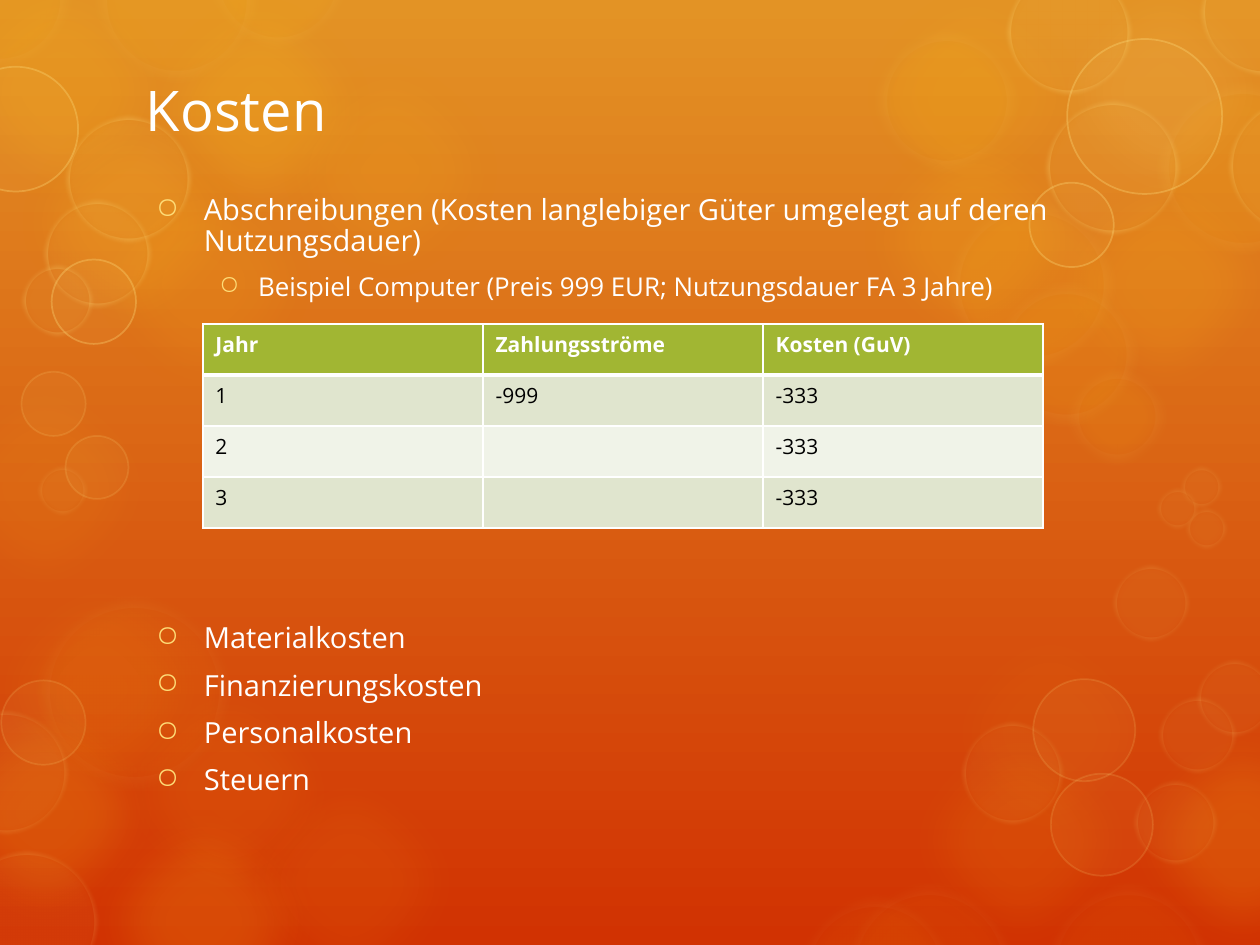
from dataclasses import dataclass
from typing import NamedTuple

from lxml.etree import SubElement
from pptx import Presentation
from pptx.dml.color import RGBColor
from pptx.enum.shapes import MSO_SHAPE
from pptx.enum.text import MSO_ANCHOR
from pptx.oxml.ns import qn
from pptx.util import Inches, Pt

CELL = Inches(0.01)  # the slide is a grid of 1000 by 750 cells
COLS, ROWS = 1000, 750


@dataclass(frozen=True)
class Theme:
    """Colours and type sizes."""
    font: str = "Open Sans"
    top: str = "E39325"
    base: str = "D13202"
    gold: str = "FDC61B"
    pale: str = "FFE281"
    cream: str = "FEEBAE"
    bullet: str = "FEDD78"
    white: str = "FFFFFF"
    black: str = "000000"
    head: str = "A1B633"
    bands: tuple = ("E0E5CE", "F0F3E8")
    title: float = 32
    body: float = 16.6
    sub: float = 14.8
    small: float = 12


class Disc(NamedTuple):
    """A round spot: place and diameter in cells, fill opacity in percent."""
    x: int
    y: int
    d: int
    alpha: int


class Look(NamedTuple):
    """Paint of a disc: colours, line width, line opacity, soft rim in cells."""
    fill: str
    line: str = ""
    width: float = 0
    alpha: int = 0
    soft: int = 0


class Item(NamedTuple):
    """A bullet with its level and the gap above in points."""
    text: str
    level: int = 0
    gap: float = 3.3


T = Theme()
BLOB = Look(T.gold, soft=35)
HALO = Look(T.gold, T.cream, 14, 6, 14)

BLOBS = [Disc(x, y, 209, a) for x, y, a in (
    (-26, 442, 8), (57, 120, 10), (205, 31, 10), (57, 627, 16), (-56, -32, 14),
    (101, -18, 20), (0, 72, 15), (669, -29, 10), (820, 120, 15), (881, 562, 16),
    (729, 477, 5), (-69, 541, 16), (77, 524, 8), (669, 86, 15), (706, 562, 10),
    (173, 596, 8), (-69, 282, 8))] + [Disc(675, 262, 133, 10)]
HALOS = [Disc(*spot) for spot in (
    (918, 65, 137, 10), (694, 23, 114, 10), (752, 159, 133, 10),
    (789, 224, 114, 10), (847, 291, 79, 10), (75, -65, 130, 10),
    (164, -74, 113, 10), (-57, -58, 114, 10), (30, 473, 153, 6),
    (632, 710, 125, 6), (670, 701, 136, 6), (829, 701, 133, 6))]
THIN = [(1, 540, 67), (-37, 53, 99), (41, 206, 67), (847, 31, 123),
        (817, 145, 67), (834, 614, 81), (820, 539, 81), (17, 295, 51),
        (52, 346, 50)]
WIDE = [(-35, 675, 113), (-44, 564, 98), (52, 92, 100), (35, 159, 85),
        (17, 210, 57), (799, -24, 99), (953, -40, 100), (975, 78, 108),
        (830, 80, 106), (763, 573, 81), (900, 620, 66), (883, 448, 61),
        (920, 553, 61), (950, 524, 60), (937, 370, 33), (918, 387, 33),
        (941, 403, 33), (30, 370, 39)]

ITEMS = [
    Item("Abschreibungen (Kosten langlebiger Güter umgelegt auf deren Nutzungsdauer)"),
    Item("Beispiel Computer (Preis 999 EUR; Nutzungsdauer FA 3 Jahre)", 1),
    Item("Materialkosten", gap=178),
    Item("Finanzierungskosten"), Item("Personalkosten"), Item("Steuern")]
COSTS = [("Jahr", "Zahlungsströme", "Kosten (GuV)"),
         ("1", "-999", "-333"), ("2", "", "-333"), ("3", "", "-333")]


def rgb(code: str) -> RGBColor:
    """Turn a hex code into a colour."""
    return RGBColor.from_string(code)


def draw_disc(slide, disc: Disc, look: Look) -> None:
    """Draw a see-through disc."""
    x, y, d, alpha = disc
    shape = slide.shapes.add_shape(
        MSO_SHAPE.OVAL, x * CELL, y * CELL, d * CELL, d * CELL)
    shape.shadow.inherit = False
    shape.fill.solid()
    shape.fill.fore_color.rgb = rgb(look.fill)
    if look.line:
        shape.line.color.rgb = rgb(look.line)
        shape.line.width = Pt(look.width)
    else:
        shape.line.fill.background()
    props = shape._element.spPr
    for tone, share in zip(props.iter(qn("a:srgbClr")), (alpha, look.alpha)):
        SubElement(tone, qn("a:alpha"), val=str(share * 1000))
    if look.soft:
        SubElement(props.find(qn("a:effectLst")), qn("a:softEdge"),
                   rad=str(look.soft * CELL))


def draw_rings(slide, spots: list, width: float, soft: int) -> None:
    """Draw pale rings, fainter in the lower part of the slide."""
    for x, y, d in spots:
        alpha = 30 if y < ROWS * 0.35 else 15
        draw_disc(slide, Disc(x, y, d, 5), Look(T.pale, T.pale, width, alpha, soft))


def style(para, size: float, tone: str = T.white, bold: bool = False) -> None:
    """Set the font of a paragraph's runs."""
    for run in para.runs:
        font = run.font
        font.name, font.size, font.bold = T.font, Pt(size), bold
        font.color.rgb = rgb(tone)


def add_box(slide, x: int, y: int, w: int, h: int):
    """Add a wrapping, middle-anchored text frame."""
    frame = slide.shapes.add_textbox(x * CELL, y * CELL, w * CELL, h * CELL).text_frame
    frame.word_wrap = True
    frame.vertical_anchor = MSO_ANCHOR.MIDDLE
    return frame


def add_list(frame, items: list) -> None:
    """Fill a frame with bulleted items."""
    for i, item in enumerate(items):
        para = frame.add_paragraph() if i else frame.paragraphs[0]
        para.text = item.text
        para.level = item.level
        para.line_spacing = 0.89
        para.space_before, para.space_after = Pt(item.gap), Pt(6)
        style(para, T.sub if item.level else T.body)
        props = para._p.get_or_add_pPr()
        margin, hang = ((38, 38), (81, 31))[item.level]
        props.set("marL", str(margin * CELL))
        props.set("indent", str(-hang * CELL))
        tone = SubElement(props, qn("a:buClr"))
        SubElement(tone, qn("a:srgbClr"), val=T.bullet)
        SubElement(props, qn("a:buChar"), char="○")


def add_edges(cell, low: float) -> None:
    """Draw white borders round a cell; low is the bottom width."""
    props = cell._tc.get_or_add_tcPr()
    for i, (side, width) in enumerate(zip("LRTB", (1, 1, 1, low))):
        line = SubElement(props, qn(f"a:ln{side}"), w=str(int(Pt(width))))
        SubElement(SubElement(line, qn("a:solidFill")), qn("a:srgbClr"), val=T.white)
        props.insert(i, line)


def add_costs(slide, rows: list) -> None:
    """Add the cost table with a green head and banded rows."""
    count, wide = len(rows), len(rows[0])
    table = slide.shapes.add_table(count, wide, 161 * CELL, 257 * CELL,
                                   667 * CELL, 162 * CELL).table
    for r, row in enumerate(rows):
        for c, text in enumerate(row):
            cell = table.cell(r, c)
            cell.text_frame.text = text
            style(cell.text_frame.paragraphs[0], T.small,
                  T.black if r else T.white, r == 0)
            cell.fill.solid()
            cell.fill.fore_color.rgb = rgb(T.bands[(r - 1) % 2] if r else T.head)
            add_edges(cell, 1 if r else 3)


def main() -> None:
    """Build and save the slide."""
    deck = Presentation()
    deck.slide_width, deck.slide_height = COLS * CELL, ROWS * CELL
    slide = deck.slides.add_slide(deck.slide_layouts[6])
    back = slide.background.fill
    back.gradient()
    back.gradient_angle = 270
    for stop, code in zip(back.gradient_stops, (T.top, T.base)):
        stop.color.rgb = rgb(code)
    for disc in BLOBS:
        draw_disc(slide, disc, BLOB)
    draw_disc(slide, Disc(820, -32, 209, 10), BLOB._replace(fill=T.pale))
    for disc in HALOS:
        look = HALO if disc.alpha == 10 else HALO._replace(alpha=4)
        draw_disc(slide, disc, look)
    draw_rings(slide, WIDE, 5, 5)
    draw_rings(slide, THIN, 1, 0)
    title = add_box(slide, 106, 36, 779, 101)
    title.text = "Kosten"
    style(title.paragraphs[0], T.title)
    add_list(add_box(slide, 114, 131, 779, 526), ITEMS)
    add_costs(slide, COSTS)
    deck.save("out.pptx")


main()
